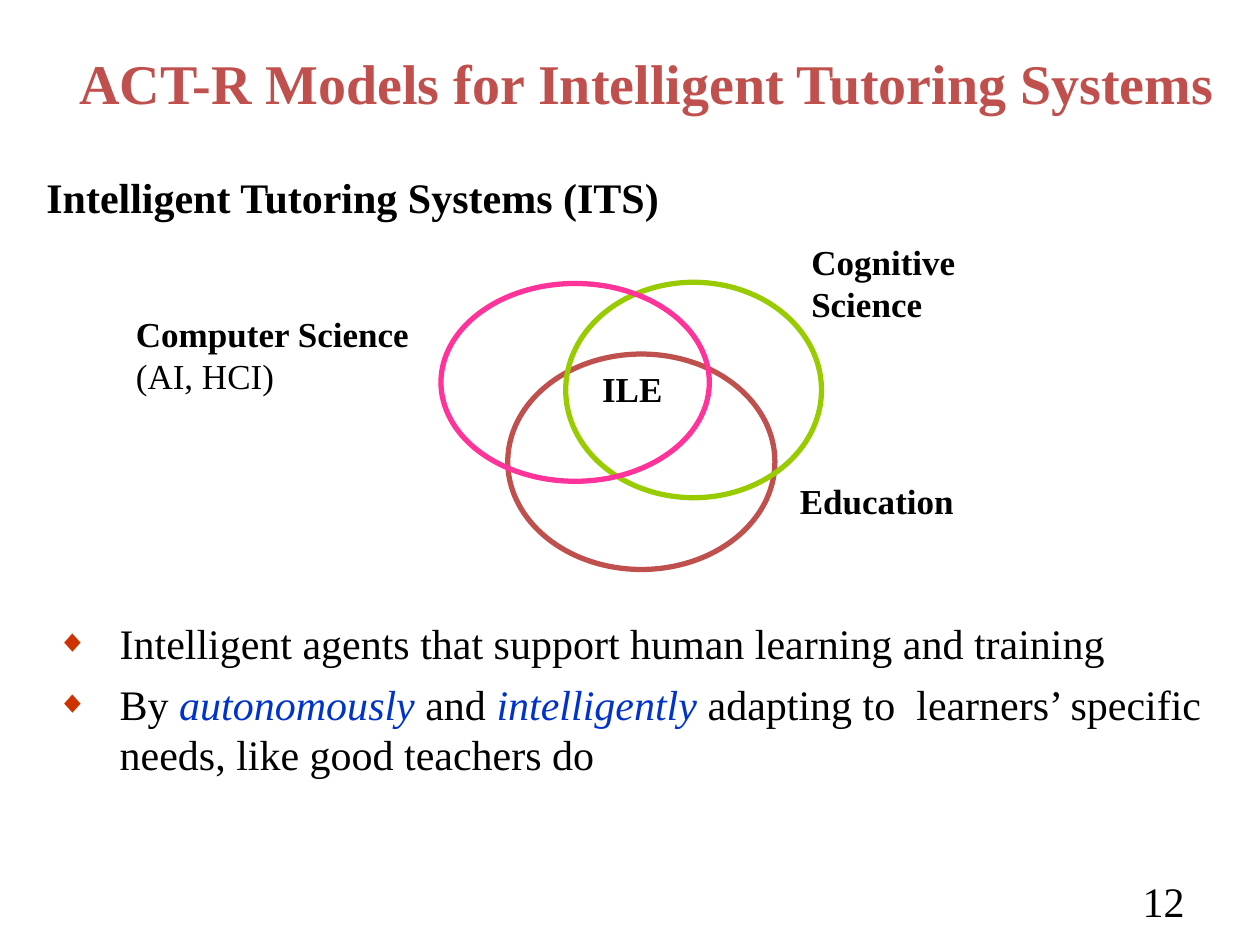
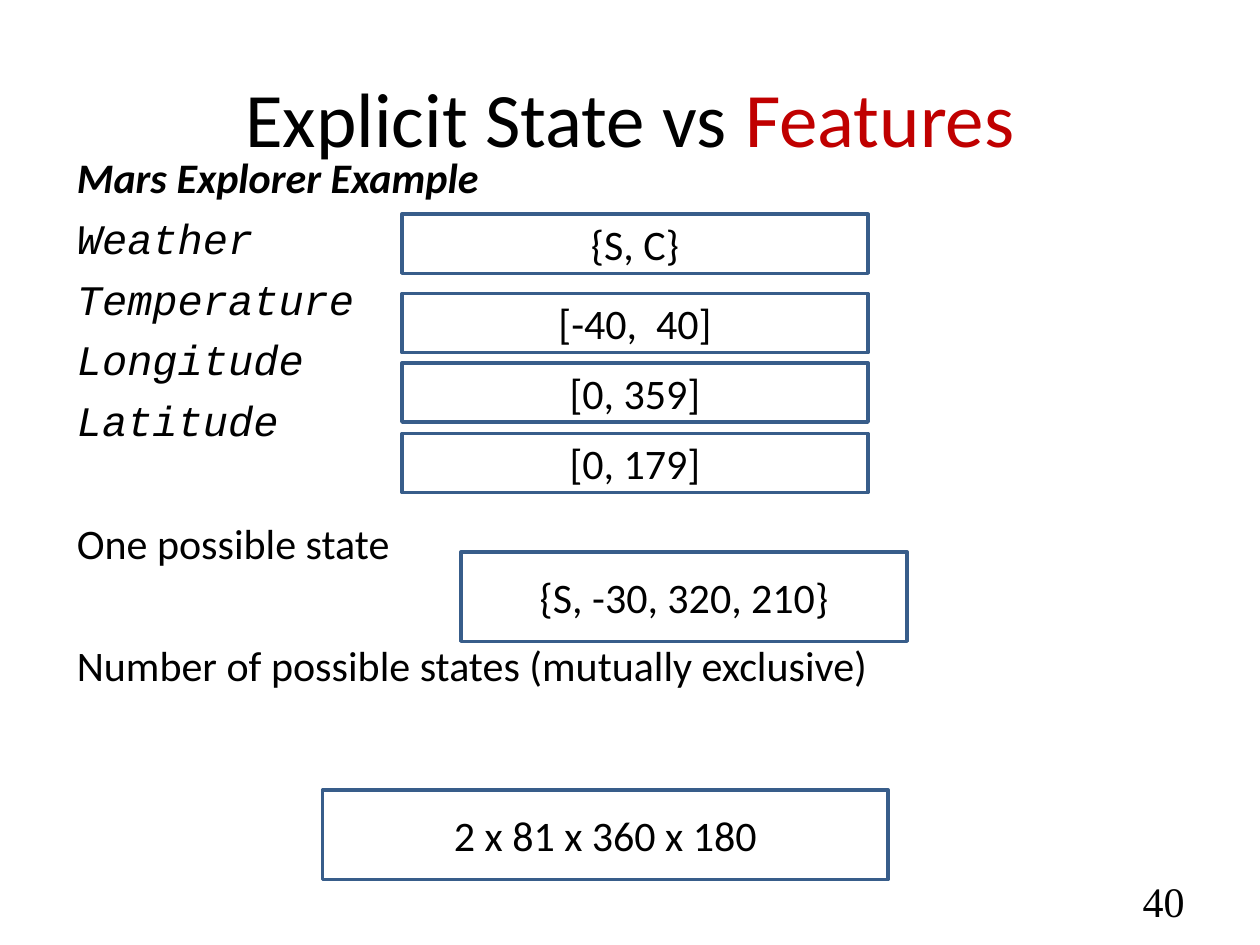
from lxml import etree
from pptx import Presentation
from pptx import util as u
from pptx.dml.color import RGBColor
from pptx.enum import shapes, text
from pptx.oxml.ns import qn

SCALE = 9144
COLORS = {
    "ink": "000000", "brick": "C0504D", "red": "C00000", "blue": "0033CC",
    "green": "99CC00", "pink": "FF3399", "frame": "385D8A", "bullet": "CC3300",
}
SERIF, SANS, MONO = "Times New Roman", "Calibri", "Courier New"
LEADING = 1.2


def px(length):
    """Turn px into EMU."""
    return u.Emu(length * SCALE)


def color(name):
    """Look up a named colour."""
    return RGBColor.from_string(COLORS[name])


class SlideBuilder:
    """Hold the deck style and the current slide."""

    def __init__(self):
        """Start an empty deck."""
        self.deck = Presentation()
        self.deck.slide_width, self.deck.slide_height = px(1000), px(750)
        self.page = None
        self.font = SERIF

    def new_page(self, font, number):
        """Add a slide with its main font and page number."""
        self.page = self.deck.slides.add_slide(self.deck.slide_layouts[1])
        self.font = font
        self.label((717, 695, 233, 40), [number], size=24, font=SERIF,
                   align=text.PP_ALIGN.RIGHT, anchor=text.MSO_ANCHOR.MIDDLE)

    def place(self, box, area):
        """Move a shape to an area."""
        box.left, box.top, box.width, box.height = map(px, area)

    def fill_para(self, para, spans, size, align=None, **style):
        """Fill a paragraph from strings or (string, style) pairs."""
        para.alignment = align
        for part in spans:
            words, own = (part, {}) if isinstance(part, str) else part
            look = {**style, **own}
            span = para.add_run()
            span.text = words
            span.font.size = u.Pt(size)
            span.font.name = look.get("font", self.font)
            span.font.bold = look.get("bold", False)
            span.font.italic = look.get("italic", False)
            span.font.color.rgb = color(look.get("color", "ink"))

    def fill_lines(self, frame, lines, size, **style):
        """Add one paragraph for each list of spans."""
        for index, spans in enumerate(lines):
            para = frame.add_paragraph() if index else frame.paragraphs[0]
            para.line_spacing = u.Pt(size * LEADING)
            self.fill_para(para, spans, size, **style)

    def title(self, area, spans, size, anchor=text.MSO_ANCHOR.MIDDLE, **style):
        """Fill the title placeholder."""
        box = self.page.shapes.title
        self.place(box, area)
        frame = box.text_frame
        frame.auto_size = text.MSO_AUTO_SIZE.NONE
        frame.vertical_anchor = anchor
        self.fill_para(frame.paragraphs[0], spans, size, text.PP_ALIGN.CENTER, **style)

    def body(self, area, lines, hang, bullet=None, gaps=None):
        """Fill the body placeholder with a hanging list."""
        box = self.page.placeholders[1]
        self.place(box, area)
        frame = box.text_frame
        frame.auto_size = text.MSO_AUTO_SIZE.NONE
        self.fill_lines(frame, lines, 24)
        for index, para in enumerate(frame.paragraphs):
            para.space_before = u.Pt((gaps or {}).get(index, 6))
            self.hang(para, hang, bullet)

    def hang(self, para, indent, bullet):
        """Set the hanging indent and the bullet of a paragraph."""
        props = para._p.get_or_add_pPr()
        props.set("marL", str(px(indent)))
        props.set("indent", str(px(-indent)))
        if bullet is None:
            etree.SubElement(props, qn("a:buNone"))
            return
        tint = etree.SubElement(props, qn("a:buClr"))
        etree.SubElement(tint, qn("a:srgbClr"), val=COLORS["bullet"])
        etree.SubElement(props, qn("a:buSzPct"), val="75000")
        etree.SubElement(props, qn("a:buFont"), typeface=SERIF)
        etree.SubElement(props, qn("a:buChar"), char=bullet)

    def label(self, area, *lines, size=20, wrap=True,
              anchor=text.MSO_ANCHOR.TOP, **style):
        """Add a text box."""
        box = self.page.shapes.add_textbox(*map(px, area))
        box.text_frame.word_wrap = wrap
        box.text_frame.vertical_anchor = anchor
        self.fill_lines(box.text_frame, lines, size, **style)

    def outline(self, kind, area, line, width):
        """Add an unfilled shape."""
        box = self.page.shapes.add_shape(kind, *map(px, area))
        box.shadow.inherit = False
        box.fill.background()
        box.line.color.rgb = color(line)
        box.line.width = u.Pt(width)
        return box

    def circle(self, area, line):
        """Add one ring of the Venn diagram."""
        self.outline(shapes.MSO_SHAPE.OVAL, area, line, 3)

    def value_box(self, area, words):
        """Add a framed value."""
        box = self.outline(shapes.MSO_SHAPE.RECTANGLE, area, "frame", 2)
        box.text_frame.vertical_anchor = text.MSO_ANCHOR.MIDDLE
        self.fill_lines(box.text_frame, [[words]], 24, align=text.PP_ALIGN.CENTER)


def tutoring_page(builder):
    """Build the tutoring systems slide."""
    builder.new_page(SERIF, "12")
    builder.title((27, 21, 973, 76), ["ACT-R Models for Intelligent Tutoring Systems"],
                  32, text.MSO_ANCHOR.BOTTOM, color="brick", bold=True)
    accent = {"color": "blue", "italic": True}
    builder.body((35, 485, 937, 205), [
        ["Intelligent agents that support human learning and training"],
        ["By ", ("autonomously", accent), " and ", ("intelligently ", accent),
         "adapting to  learners’ specific needs, like good teachers do"],
    ], hang=50, bullet="◆")
    builder.label((27, 131, 937, 205), ["Intelligent Tutoring Systems (ITS)"],
                  size=24, bold=True)

    builder.circle((403, 281, 212, 171), "brick")
    builder.circle((449, 224, 203, 171), "green")
    builder.circle((350, 225, 213, 157), "pink")
    builder.label((634, 186, 229, 44), ["Cognitive Science"], wrap=False, bold=True)
    builder.label((625, 376, 197, 44), ["Education"], bold=True)
    builder.label((468, 287, 68, 44), ["ILE"], wrap=False, bold=True)
    builder.label((98, 243, 335, 77), ["Computer Science"],
                  [("(AI, HCI)", {"bold": False})], bold=True)


def features_page(builder):
    """Build the state and features slide."""
    builder.new_page(SANS, "40")
    builder.title((50, 30, 900, 125),
                  ["Explicit State vs ", ("Features", {"color": "red"})], 44)
    features = {"Weather": (170, "{S, C}"), "Temperature": (233, "[-40,  40]"),
                "Longitude": (288, "[0, 359]"), "Latitude": (344, "[0, 179]")}
    names = [[(name, {"font": MONO, "italic": True})] for name in features]
    builder.body((51, 115, 913, 239), [
        [("Mars Explorer Example", {"bold": True, "italic": True})],
        *names,
        ["One possible state"],
        ["Number of possible states (mutually exclusive)"],
    ], hang=38, gaps={5: 41, 6: 41})

    builder.value_box((366, 438, 354, 71), "{S, -30, 320, 210}")
    builder.value_box((256, 627, 449, 71), "2 x 81 x 360 x 180")
    for top, domain in features.values():
        builder.value_box((319, top, 370, 47), domain)


def main():
    """Build and save the deck."""
    builder = SlideBuilder()
    tutoring_page(builder)
    features_page(builder)
    builder.deck.save("out.pptx")


if __name__ == "__main__":
    main()
